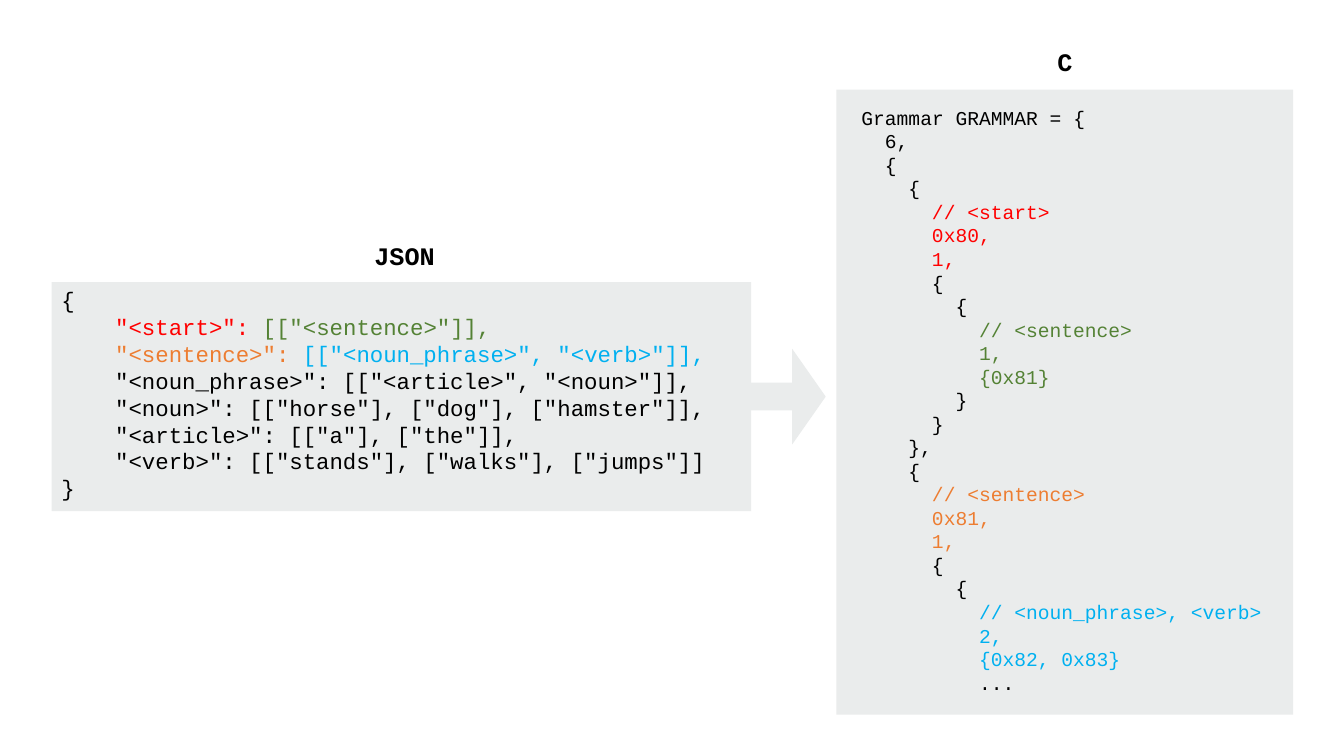
from pptx import Presentation
from pptx.dml.color import RGBColor
from pptx.enum.shapes import MSO_SHAPE as Shape
from pptx.enum.text import MSO_ANCHOR as Anchor, PP_ALIGN as Align
from pptx.util import Cm, Pt

FONT = "Courier New"
CHAR_WIDTH = 0.6  # advance of one monospaced character, in ems
PANEL = "EAECEC"
BLACK, RED, GREEN = "000000", "FF0000", "548235"
ORANGE, BLUE = "ED7D31", "00B0F0"

# Each code line: indent in characters, then (text, colour) runs
JSON_LINES = [
    (0, ("{", BLACK)),
    (4, ('"<start>": ', RED), ('[["<sentence>"]],', GREEN)),
    (4, ('"<sentence>": ', ORANGE), ('[["<noun_phrase>", "<verb>"]],', BLUE)),
    (4, ('"<noun_phrase>": [["<article>", "<noun>"]],', BLACK)),
    (4, ('"<noun>": [["horse"], ["dog"], ["hamster"]],', BLACK)),
    (4, ('"<article>": [["a"], ["the"]],', BLACK)),
    (4, ('"<verb>": [["stands"], ["walks"], ["jumps"]]', BLACK)),
    (0, ("}", BLACK)),
]
C_LINES = [
    (0, ("Grammar GRAMMAR = {", BLACK)),
    (2, ("6,", BLACK)),
    (2, ("{", BLACK)),
    (4, ("{", BLACK)),
    (6, ("// <start>", RED)),
    (6, ("0x80,", RED)),
    (6, ("1,", RED)),
    (6, ("{", BLACK)),
    (8, ("{", BLACK)),
    (10, ("// <sentence>", GREEN)),
    (10, ("1,", GREEN)),
    (10, ("{0x81}", GREEN)),
    (8, ("}", BLACK)),
    (6, ("}", BLACK)),
    (4, ("},", BLACK)),
    (4, ("{", BLACK)),
    (6, ("// <sentence>", ORANGE)),
    (6, ("0x81,", ORANGE)),
    (6, ("1,", ORANGE)),
    (6, ("{", BLACK)),
    (8, ("{", BLACK)),
    (10, ("// <noun_phrase>, <verb>", BLUE)),
    (10, ("2,", BLUE)),
    (10, ("{0x82, 0x83}", BLUE)),
    (10, ("...", BLACK)),
]

# Boxes are left, top, width, height in cm
LISTINGS = [
    {"heading": "JSON", "heading_box": (7.21, 5.92, 5.97, 1.02),
     "panel_box": (1.3, 7.11, 17.63, 5.77),
     "code_box": (1.3, 7.09, 16.97, 5.74), "lines": JSON_LINES, "size": 16},
    {"heading": "C", "heading_box": (23.85, 1.04, 5.97, 1.02),
     "panel_box": (21.08, 2.26, 11.51, 15.75),
     "code_box": (21.46, 2.54, 10.72, 15.21), "lines": C_LINES, "size": 14},
]
ARROW_BOX = (18.75, 8.79, 2.06, 2.41)
ARROW_ADJUSTMENTS = (0.29, 0.41)


def rgb(colour):
    return RGBColor.from_string(colour)


def add_filled(slide, preset, box):
    sp = slide.shapes.add_shape(preset, *map(Cm, box))
    sp.shadow.inherit = False
    sp.fill.solid()
    sp.fill.fore_color.rgb = rgb(PANEL)
    sp.line.fill.background()
    return sp


def add_text(slide, box, lines, size, bold=False, align=Align.LEFT):
    tf = slide.shapes.add_textbox(*map(Cm, box)).text_frame
    tf.word_wrap = True
    tf.vertical_anchor = Anchor.TOP
    for i, (indent, *runs) in enumerate(lines):
        p = tf.paragraphs[0] if i == 0 else tf.add_paragraph()
        p.alignment = align
        if indent:
            p_pr = p._p.get_or_add_pPr()
            p_pr.set("marL", str(int(Pt(indent * CHAR_WIDTH * size))))
            p_pr.set("indent", "0")
        for text, colour in runs:
            r = p.add_run()
            r.text = text
            r.font.name = FONT
            r.font.size = Pt(size)
            r.font.bold = bold
            r.font.color.rgb = rgb(colour)


def main():
    prs = Presentation()
    prs.slide_width, prs.slide_height = Cm(33.87), Cm(19.05)
    slide = prs.slides.add_slide(prs.slide_layouts[6])

    for listing in LISTINGS:
        add_filled(slide, Shape.RECTANGLE, listing["panel_box"])
        add_text(slide, listing["code_box"], listing["lines"], listing["size"])
        add_text(slide, listing["heading_box"],
                 [(0, (listing["heading"], BLACK))], 18, True, Align.CENTER)

    arrow = add_filled(slide, Shape.RIGHT_ARROW, ARROW_BOX)
    for i, value in enumerate(ARROW_ADJUSTMENTS):
        arrow.adjustments[i] = value

    prs.save("out.pptx")


if __name__ == "__main__":
    main()
